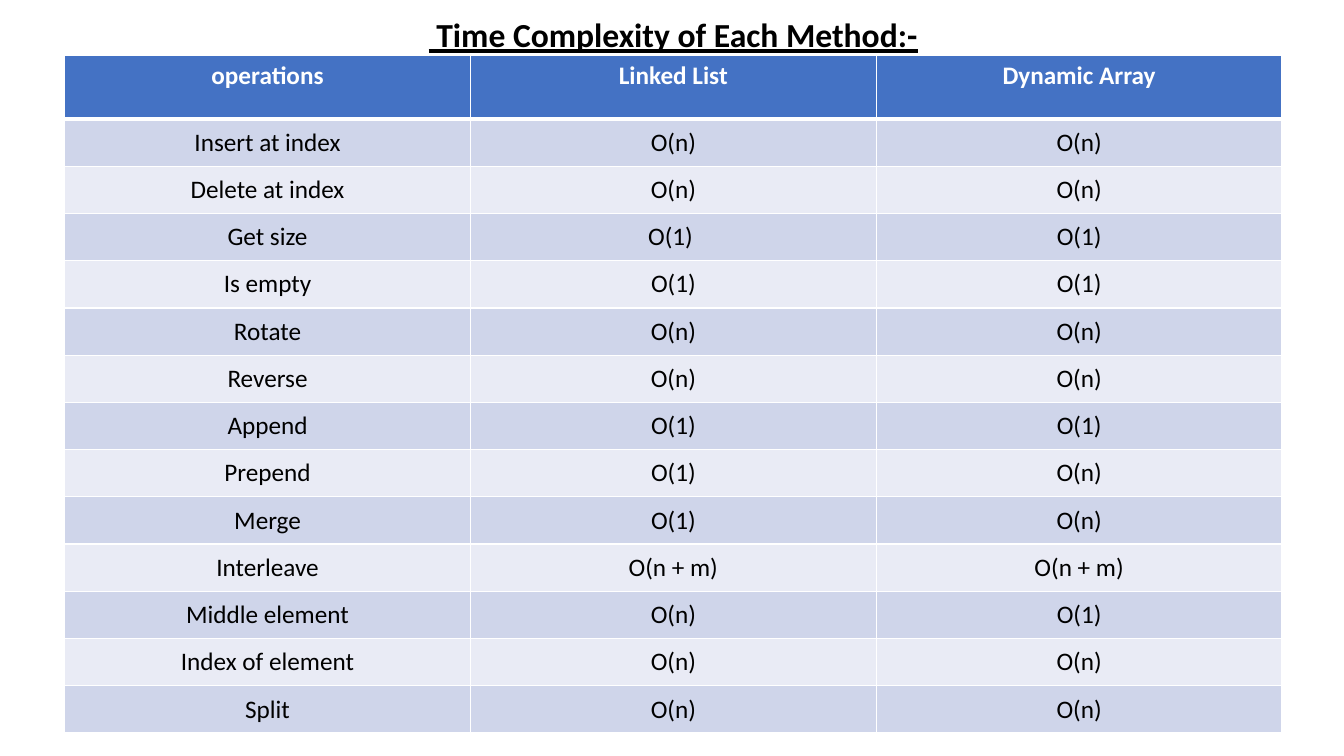
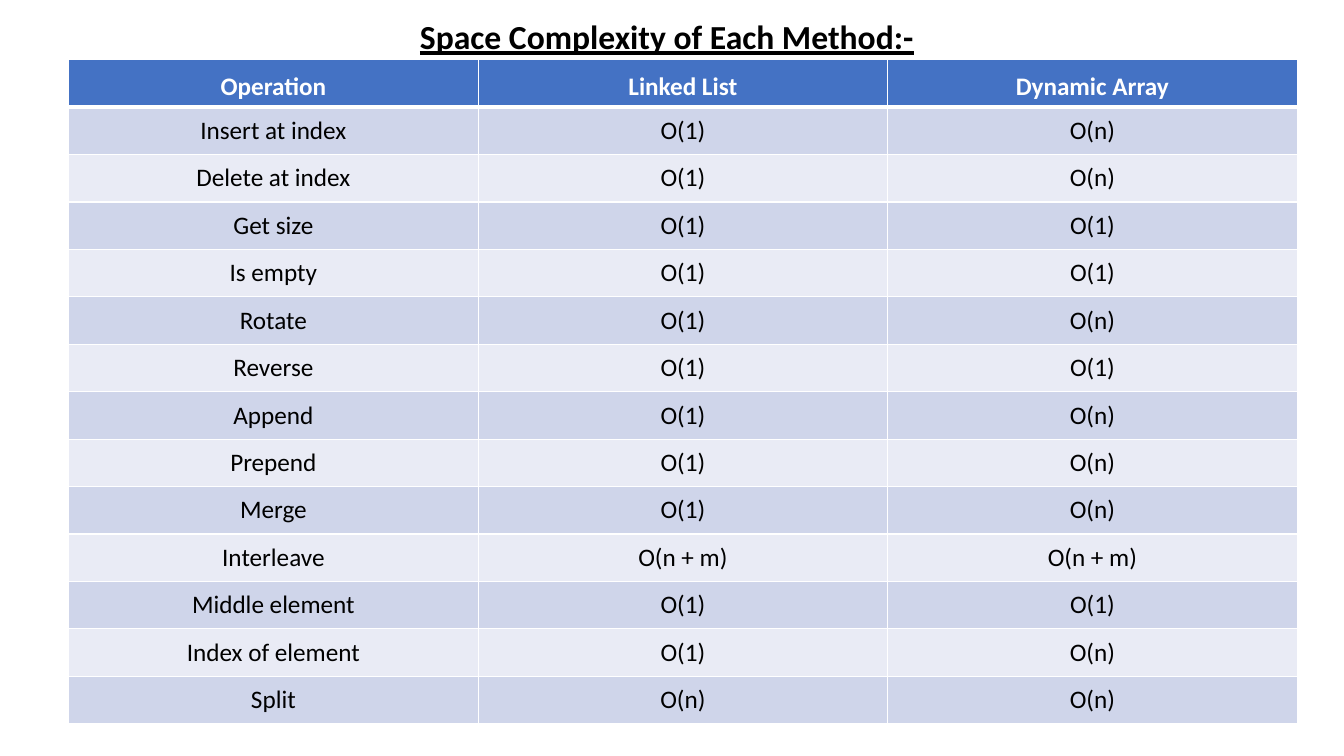
from dataclasses import dataclass

from lxml import etree
from pptx import Presentation
from pptx.dml.color import RGBColor
from pptx.enum.text import MSO_ANCHOR, PP_ALIGN
from pptx.oxml.ns import qn
from pptx.util import Cm, Pt

CENTER = PP_ALIGN.CENTER
TOP, MIDDLE, BOTTOM = MSO_ANCHOR.TOP, MSO_ANCHOR.MIDDLE, MSO_ANCHOR.BOTTOM

WHITE = RGBColor(0xFF, 0xFF, 0xFF)
BLACK = RGBColor(0x00, 0x00, 0x00)
HEADER_BLUE = RGBColor(0x44, 0x72, 0xC4)
BAND_DARK = RGBColor(0xCF, 0xD5, 0xEA)
BAND_LIGHT = RGBColor(0xE9, 0xEB, 0xF5)

FONT = "Calibri"
THIN, THICK = Pt(1), Pt(3)

OPERATIONS = (
    "Insert at index", "Delete at index", "Get size", "Is empty", "Rotate",
    "Reverse", "Append", "Prepend", "Merge", "Interleave", "Middle element",
    "Index of element", "Split",
)


@dataclass(frozen=True)
class Box:
    """Position and size in centimetres."""
    left: float
    top: float
    width: float
    height: float

    def lengths(self) -> tuple:
        return Cm(self.left), Cm(self.top), Cm(self.width), Cm(self.height)


@dataclass(frozen=True)
class ComplexitySlide:
    title: str
    title_box: Box
    table_box: Box
    header_height: float
    header_anchor: MSO_ANCHOR
    first_heading: str
    linked_list: tuple
    dynamic_array: tuple


SLIDES = (
    ComplexitySlide(
        title=" Time Complexity of Each Method:-",
        title_box=Box(8.71, 0.23, 16.51, 2.31),
        table_box=Box(1.63, 1.4, 30.68, 17.07),
        header_height=1.6,
        header_anchor=TOP,
        first_heading="operations",
        linked_list=("O(n)", "O(n)", "O(1) ", "O(1)", "O(n)", "O(n)", "O(1)",
                     "O(1)", "O(1)", "O(n + m)", "O(n)", "O(n)", "O(n)"),
        dynamic_array=("O(n)", "O(n)", "O(1)", "O(1)", "O(n)", "O(n)", "O(1)",
                       "O(n)", "O(n)", "O(n + m)", "O(1)", "O(n)", "O(n)"),
    ),
    ComplexitySlide(
        title="Space Complexity of Each Method:-",
        title_box=Box(7.52, 0.28, 18.57, 2.31),
        table_box=Box(1.73, 1.5, 30.96, 16.74),
        header_height=1.2,
        header_anchor=BOTTOM,
        first_heading="Operation",
        linked_list=("O(1)",) * 9 + ("O(n + m)", "O(1)", "O(1)", "O(n)"),
        dynamic_array=("O(n)", "O(n)", "O(1)", "O(1)", "O(n)", "O(1)", "O(n)",
                       "O(n)", "O(n)", "O(n + m)", "O(1)", "O(n)", "O(n)"),
    ),
)


def write_text(text_frame, text: str, *, size: int, color: RGBColor,
               bold: bool = False, underline: bool = False) -> None:
    """Put one centred, formatted run into a text frame."""
    paragraph = text_frame.paragraphs[0]
    paragraph.alignment = CENTER
    run = paragraph.add_run()
    run.text = text
    run.font.name = FONT
    run.font.size = Pt(size)
    run.font.bold = bold
    run.font.underline = underline
    run.font.color.rgb = color


def set_borders(cell, *, top: int = THIN, bottom: int = THIN) -> None:
    """Draw white borders; they must stand before the fill in the cell."""
    properties = cell._tc.get_or_add_tcPr()
    widths = {"a:lnL": THIN, "a:lnR": THIN, "a:lnT": top, "a:lnB": bottom}
    for position, (tag, width) in enumerate(widths.items()):
        line = etree.Element(qn(tag), w=str(int(width)))
        fill = etree.SubElement(line, qn("a:solidFill"))
        etree.SubElement(fill, qn("a:srgbClr"), val=str(WHITE))
        properties.insert(position, line)


def add_title(slide, content: ComplexitySlide) -> None:
    shape = slide.shapes.add_textbox(*content.title_box.lengths())
    shape.text_frame.word_wrap = True
    write_text(shape.text_frame, content.title, size=24, color=BLACK,
               bold=True, underline=True)


def add_complexity_table(slide, content: ComplexitySlide) -> None:
    headings = (content.first_heading, "Linked List", "Dynamic Array")
    rows = [headings, *zip(OPERATIONS, content.linked_list, content.dynamic_array)]
    box = content.table_box
    table = slide.shapes.add_table(len(rows), len(headings), *box.lengths()).table

    # Equal columns, and equal body rows below the header
    for column in table.columns:
        column.width = Cm(box.width / len(headings))
    body_height = (box.height - content.header_height) / len(OPERATIONS)
    for row_index, values in enumerate(rows):
        is_header = row_index == 0
        table.rows[row_index].height = Cm(
            content.header_height if is_header else body_height)
        band = BAND_DARK if row_index % 2 else BAND_LIGHT
        for column_index, value in enumerate(values):
            cell = table.cell(row_index, column_index)
            cell.vertical_anchor = content.header_anchor if is_header else MIDDLE
            cell.fill.solid()
            cell.fill.fore_color.rgb = HEADER_BLUE if is_header else band
            set_borders(cell, top=THICK if row_index == 1 else THIN,
                        bottom=THICK if is_header else THIN)
            write_text(cell.text_frame, value, size=18, bold=is_header,
                       color=WHITE if is_header else BLACK)


def main() -> None:
    presentation = Presentation()
    presentation.slide_width = Cm(33.87)
    presentation.slide_height = Cm(19.05)
    blank_layout = presentation.slide_layouts[6]
    for content in SLIDES:
        slide = presentation.slides.add_slide(blank_layout)
        add_complexity_table(slide, content)
        add_title(slide, content)
    presentation.save("out.pptx")


if __name__ == "__main__":
    main()
